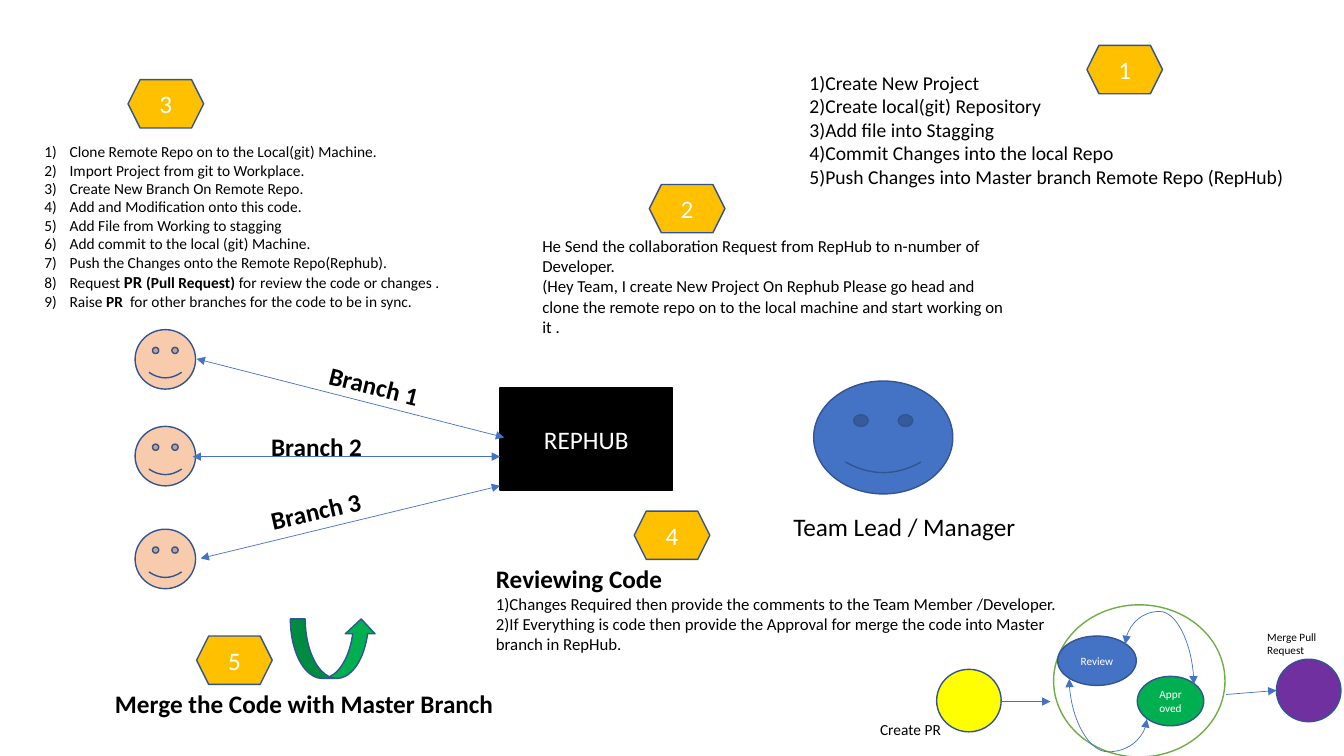
"""Build a slide on a team's branch, review and merge flow."""
from dataclasses import dataclass

from lxml.etree import SubElement
from pptx import Presentation
from pptx.dml.color import RGBColor
from pptx.enum.shapes import MSO_CONNECTOR as Link, MSO_SHAPE as Kind
from pptx.enum.text import MSO_ANCHOR as Anchor, MSO_AUTO_SIZE as Fit, PP_ALIGN as Align
from pptx.oxml.ns import qn
from pptx.slide import Slide
from pptx.text.text import TextFrame
from pptx.util import Inches, Pt


@dataclass(frozen=True)
class Theme:
    font: str = "Calibri"
    ink: str = "000000"
    white: str = "FFFFFF"
    blue: str = "4472C4"
    edge: str = "325491"
    gold: str = "FFC000"
    skin: str = "F8CBAD"
    green: str = "00B050"
    ring: str = "70AD47"
    yellow: str = "FFFF00"
    purple: str = "7030A0"
    big: int = 18
    mid: int = 14
    text: int = 12
    small: int = 11
    tiny: int = 8


T = Theme()


@dataclass(frozen=True)
class Span:
    text: str
    size: int | None = None
    bold: bool | None = None


@dataclass(frozen=True)
class Line:
    spans: tuple[Span, ...]
    size: int
    bold: bool = False


@dataclass(frozen=True)
class Note:
    box: tuple[float, float, float, float]
    lines: list[Line]
    turn: float = 0


@dataclass(frozen=True)
class Node:
    kind: Kind
    box: tuple[float, float, float, float]
    fill: str
    edge: str = T.edge
    label: str = ""
    size: int = T.big


@dataclass(frozen=True)
class Arrow:
    start: tuple[float, float]
    end: tuple[float, float]
    both: bool = False
    bend: int | None = None


def lines(size: int, *texts: str, bold: bool = False) -> list[Line]:
    return [Line((Span(text),), size, bold) for text in texts]


def write(frame: TextFrame, rows: list[Line], color: str = T.ink,
          align: Align = Align.LEFT, count: bool = False) -> None:
    frame.word_wrap = True
    for i, row in enumerate(rows):
        para = frame.paragraphs[0] if i == 0 else frame.add_paragraph()
        if count:
            props = para._p.get_or_add_pPr()
            props.set("marL", str(Inches(0.25)))
            props.set("indent", str(Inches(-0.25)))
            SubElement(props, qn("a:buFont"), typeface=T.font)
            SubElement(props, qn("a:buAutoNum"), type="arabicParenR")
        para.alignment = align
        para.space_before = Pt(0)
        font = para.font
        font.name, font.size, font.bold = T.font, Pt(row.size), row.bold
        font.color.rgb = RGBColor.from_string(color)
        for span in row.spans:
            run = para.add_run()
            run.text = span.text
            if span.size:
                run.font.size = Pt(span.size)
            if span.bold:
                run.font.bold = True


def add_note(slide: Slide, note: Note) -> None:
    box = slide.shapes.add_textbox(*map(Inches, note.box))
    box.rotation = note.turn
    write(box.text_frame, note.lines)
    box.text_frame.auto_size = Fit.SHAPE_TO_FIT_TEXT


def add_node(slide: Slide, node: Node) -> None:
    shape = slide.shapes.add_shape(node.kind, *map(Inches, node.box))
    shape.shadow.inherit = False
    shape.fill.solid()
    shape.fill.fore_color.rgb = RGBColor.from_string(node.fill)
    shape.line.color.rgb = RGBColor.from_string(node.edge)
    shape.line.width = Pt(1)
    if node.label:
        shape.text_frame.vertical_anchor = Anchor.MIDDLE
        write(shape.text_frame, lines(node.size, node.label), T.white, Align.CENTER)


def add_arrow(slide: Slide, arrow: Arrow) -> None:
    kind = Link.STRAIGHT if arrow.bend is None else Link.CURVE
    link = slide.shapes.add_connector(kind, *map(Inches, arrow.start + arrow.end))
    link.line.color.rgb = RGBColor.from_string(T.blue)
    link.line.width = Pt(0.5)
    props = link._element.spPr
    if arrow.bend is not None:
        props.find(qn("a:xfrm")).set("rot", str(270 * 60000))
        guides = props.find(qn("a:prstGeom")).find(qn("a:avLst"))
        SubElement(guides, qn("a:gd"), name="adj1", fmla=f"val {arrow.bend}")
    stroke = link.line._get_or_add_ln()
    for end in ("headEnd", "tailEnd") if arrow.both else ("tailEnd",):
        SubElement(stroke, qn(f"a:{end}"), type="triangle")
    SubElement(props, qn("a:effectLst"))


def place(holder, box: tuple[float, float, float, float]) -> TextFrame:
    holder.left, holder.top, holder.width, holder.height = map(Inches, box)
    frame = holder.text_frame
    frame.auto_size = Fit.NONE
    frame.vertical_anchor = Anchor.TOP
    return frame


STEPS = lines(
    T.small, "Clone Remote Repo on to the Local(git) Machine.",
    "Import Project from git to Workplace.", "Create New Branch On Remote Repo.",
    "Add and Modification onto this code.", "Add File from Working to stagging",
    "Add commit to the local (git) Machine.",
    "Push the Changes onto the Remote Repo(Rephub).") + [
    Line((Span("Request "), Span("PR ", T.text, True), Span("(Pull Request) ", bold=True),
          Span("for review the code or changes .")), T.small),
    Line((Span("Raise "), Span("PR ", bold=True),
          Span(" for other branches for the code to be in sync.")), T.small)]
NOTES = [
    Note((7.93, 0.65, 5.06, 1.51), lines(
        T.mid, "1)Create New Project", "2)Create local(git) Repository",
        "3)Add file into Stagging", "4)Commit Changes into the local Repo",
        "5)Push Changes into Master branch Remote Repo (RepHub)")),
    Note((7.77, 5.02, 2.47, 0.4), lines(T.big, "Team Lead / Manager")),
    Note((5.28, 2.29, 4.85, 0.91), lines(
        T.text, "He Send the collaboration Request from RepHub to n-number of Developer.",
        "(Hey Team, I create New Project On Rephub Please go head and clone the remote "
        "repo on to the local machine and start working on it .")),
    Note((4.82, 5.54, 6.15, 1.01), lines(T.big, "Reviewing Code", bold=True) + lines(
        T.text, "1)Changes Required then provide the comments to the Team Member /Developer.",
        "2)If Everything is code then provide the Approval for merge the code into "
        "Master branch in RepHub.")),
    Note((8.63, 7.09, 1.1, 0.29), lines(T.small, "Create PR")),
    Note((12.47, 6.2, 1.03, 0.37), lines(T.tiny, "Merge Pull Request"))]
NOTES += [Note((x, y, 1.15, 0.4), lines(T.big, f"Branch {i}", bold=True), turn)
          for i, (x, y, turn) in enumerate(
              [(3.16, 3.63, 14), (2.59, 4.23, 0), (2.58, 4.86, 347.1)], 1)]
BADGES = [(10.78, 0.45), (6.44, 1.83), (1.27, 0.79), (6.29, 5.07), (1.95, 6.31)]
NODES = [
    Node(Kind.SMILEY_FACE, (8.07, 3.78, 1.38, 1.12), T.blue),
    Node(Kind.RECTANGLE, (4.96, 3.85, 1.71, 1.01), T.ink, T.ink, "REPHUB"),
    *[Node(Kind.SMILEY_FACE, (1.34, y, 0.6, 0.59), T.skin) for y in (3.27, 4.23, 5.25)],
    *[Node(Kind.HEXAGON, (x, y, 0.75, 0.48), T.gold, label=str(i))
      for i, (x, y) in enumerate(BADGES, 1)],
    Node(Kind.OVAL, (9.29, 6.64, 0.64, 0.62), T.yellow),
    Node(Kind.OVAL, (10.45, 6, 1.7, 1.51), T.white, T.ring),
    Node(Kind.OVAL, (10.49, 6.31, 0.78, 0.49), T.blue, label="Review", size=T.tiny),
    Node(Kind.OVAL, (11.28, 6.71, 0.66, 0.49), T.green, label="Approved", size=T.tiny),
    Node(Kind.OVAL, (12.66, 6.54, 0.64, 0.62), T.purple),
    Node(Kind.CURVED_UP_ARROW, (2.88, 6.14, 0.85, 0.59), T.green)]
ARROWS = [
    Arrow((1.95, 3.56), (5, 4.34), True),
    Arrow((1.91, 4.53), (4.96, 4.53), True),
    Arrow((1.99, 5.54), (4.96, 4.82), True),
    Arrow((11.7, 6.25), (11.3, 6.93), True, -81000),
    Arrow((11.19, 6.55), (10.79, 7.32), True, 181000),
    Arrow((9.93, 6.96), (10.42, 6.96)),
    Arrow((12.16, 6.89), (12.66, 6.85))]


def main() -> None:
    deck = Presentation()
    deck.slide_width, deck.slide_height = Inches(13.33), Inches(7.5)
    slide = deck.slides.add_slide(deck.slide_layouts[1])
    title, body = slide.placeholders
    write(place(title, (1.04, 6.78, 4.24, 0.4)),
          lines(T.big, "Merge the Code with Master Branch", bold=True))
    write(place(body, (0.34, 1.36, 4.48, 1.8)), STEPS, count=True)
    for node in NODES:
        add_node(slide, node)
    for note in NOTES:
        add_note(slide, note)
    for arrow in ARROWS:
        add_arrow(slide, arrow)
    deck.save("out.pptx")


main()
